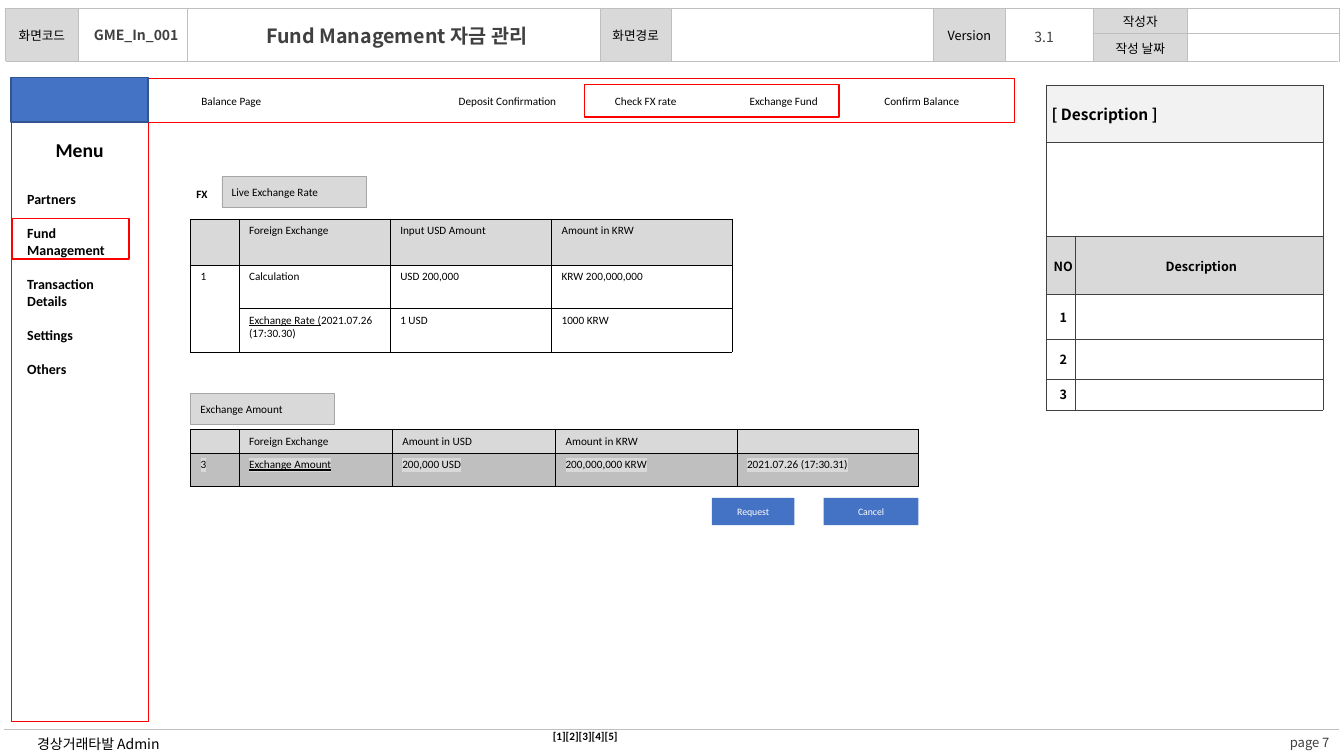
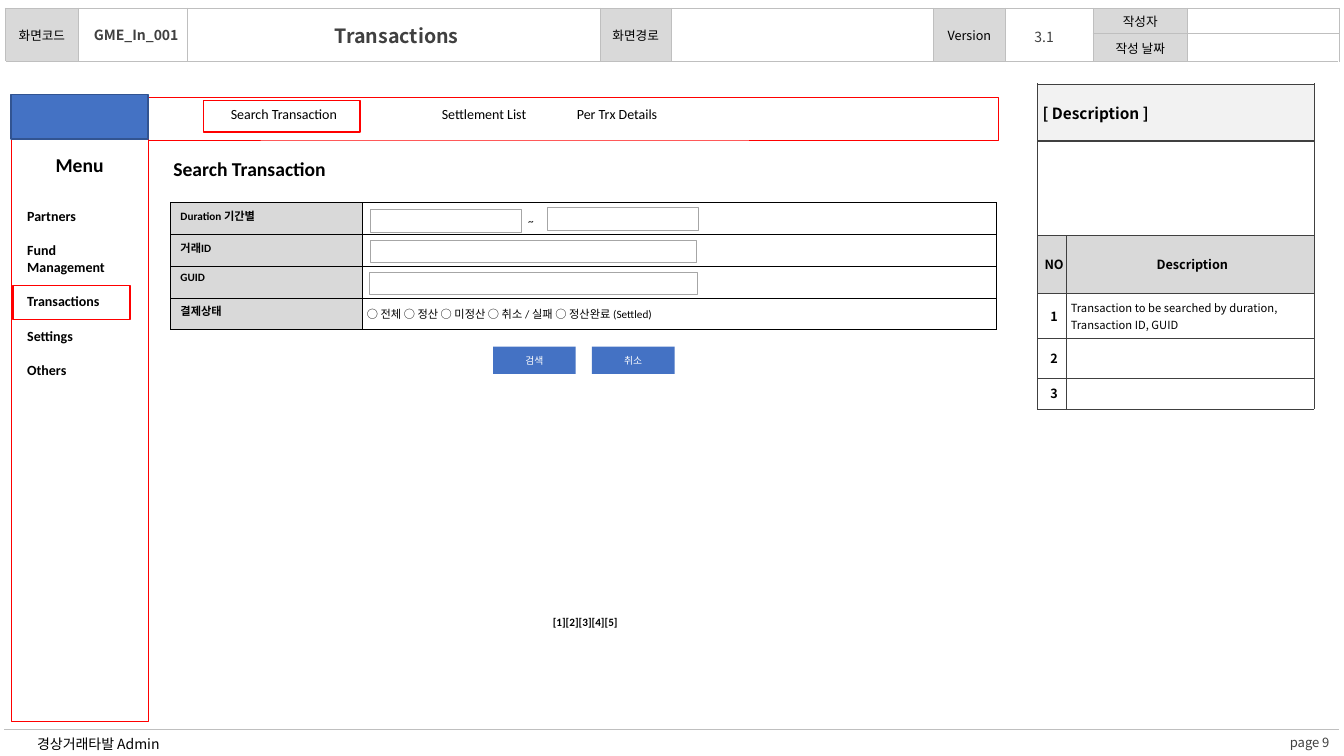
from lxml import etree
from pptx import Presentation
from pptx.dml.color import RGBColor
from pptx.enum.shapes import MSO_SHAPE
from pptx.enum.text import MSO_ANCHOR, PP_ALIGN
from pptx.oxml.ns import qn
from pptx.util import Inches, Pt

LEFT, CENTER = PP_ALIGN.LEFT, PP_ALIGN.CENTER
TOP, MIDDLE = MSO_ANCHOR.TOP, MSO_ANCHOR.MIDDLE
RECTANGLE = MSO_SHAPE.RECTANGLE
BLANK_LAYOUT = 6

LATIN, KOREAN = "Calibri", "Noto Sans CJK KR"
BLACK, WHITE, RED, BLUE, NAVY = "000000", "FFFFFF", "FF0000", "4472C4", "325491"
DARK, MID, GREY, SILVER, PALE = "404040", "A6A6A6", "D9D9D9", "BFBFBF", "F2F2F2"

INSETS = (0.1, 0.05, 0.1, 0.05)
HEADER_INSETS = (0, 0.05, 0.1, 0.05)
HAIRLINE = 0.25
SIDE_LEFT, SIDE_TOP, SIDE_WIDTH, SIDE_HEIGHT = 0.11, 0.96, 1.36, 6.2
BAND_HEIGHT = 0.43
HEADER_COLUMNS = [0.73, 1.08, 4.09, 0.71, 2.6, 0.71, 0.87, 0.94, 1.5]
HEADER_ROWS = [0.25, 0.28, 6.62]


def color(hex_string):
    return RGBColor.from_string(hex_string)


def set_fill(target, hex_string):
    if hex_string:
        target.fill.solid()
        target.fill.fore_color.rgb = color(hex_string)
    else:
        target.fill.background()


def format_run(run, size=8, font=LATIN, ink=BLACK, bold=False,
               underline=False, highlight=None):
    run.font.size = Pt(size)
    run.font.name = font
    run.font.bold = bold
    run.font.underline = underline
    run.font.color.rgb = color(ink)
    properties = run._r.get_or_add_rPr()
    etree.SubElement(properties, qn("a:ea"), typeface=KOREAN)
    if highlight:
        mark = etree.Element(qn("a:highlight"))
        etree.SubElement(mark, qn("a:srgbClr"), val=highlight)
        properties.find(qn("a:solidFill")).addnext(mark)


def write(frame, text, align=LEFT, space_before=0, size=8, **run_format):
    """Write lines of text; a line is a string or a list of (text, changes)."""
    lines = text if isinstance(text, tuple) else (text,)
    for index, line in enumerate(lines):
        paragraph = frame.add_paragraph() if index else frame.paragraphs[0]
        paragraph.alignment = align
        if index:
            paragraph.space_before = Pt(space_before)
        if not line:
            paragraph._p.get_or_add_endParaRPr().set("sz", str(size * 100))
            continue
        for words, changes in [(line, {})] if isinstance(line, str) else line:
            run = paragraph.add_run()
            run.text = words
            format_run(run, **{"size": size, **run_format, **changes})


def set_insets(target, insets):
    (target.margin_left, target.margin_top,
     target.margin_right, target.margin_bottom) = map(Inches, insets)


def add_text(slide, box, text, anchor=TOP, insets=INSETS, wrap=False, **text_format):
    frame = slide.shapes.add_textbox(*map(Inches, box)).text_frame
    frame.word_wrap = wrap
    frame.vertical_anchor = anchor
    set_insets(frame, insets)
    write(frame, text, **text_format)


def add_box(slide, box, fill=None, line=None, weight=HAIRLINE, text="", **text_format):
    shape = slide.shapes.add_shape(RECTANGLE, *map(Inches, box))
    shape.shadow.inherit = False
    set_fill(shape, fill)
    if line:
        shape.line.color.rgb = color(line)
        shape.line.width = Pt(weight)
    else:
        shape.line.fill.background()
    if text:
        shape.text_frame.vertical_anchor = MIDDLE
        write(shape.text_frame, text, **text_format)


def add_button(slide, box, text):
    add_box(slide, box, fill=BLUE, text=text, align=CENTER, size=7, ink=WHITE)


def add_caption(slide, left, top, text):
    add_box(slide, (left, top, 1.43, 0.31), fill=GREY, line=MID, text=text)


def add_field(slide, left, top, width):
    add_box(slide, (left, top, width, 0.22), fill=WHITE, line=MID)


def add_marker(slide, box):
    add_box(slide, box, line=RED, weight=1)


def draw_borders(cell, hex_string, weights):
    """Draw the cell edges named in weights, a dict of side letter to points."""
    properties = cell._tc.get_or_add_tcPr()
    for side, weight in weights.items():
        edge = etree.SubElement(properties, qn(f"a:ln{side}"), w=str(Pt(weight)))
        solid = etree.SubElement(edge, qn("a:solidFill"))
        etree.SubElement(solid, qn("a:srgbClr"), val=hex_string)


def add_grid(slide, left, top, columns, rows, cells, style, border=None,
             heavy_edges=(), merges=(), anchor=TOP, insets=INSETS):
    """Add a table; style(row, column) gives fill, sides and text format."""
    table = slide.shapes.add_table(len(rows), len(columns), *map(
        Inches, (left, top, sum(columns), sum(rows)))).table
    table.first_row = table.horz_banding = False
    for column, width in zip(table.columns, columns):
        column.width = Inches(width)
    for row, height in zip(table.rows, rows):
        row.height = Inches(height)
    for first_row, first_column, last_row, last_column in merges:
        table.cell(first_row, first_column).merge(table.cell(last_row, last_column))
    for row_index, texts in enumerate(cells):
        for column_index, text in enumerate(texts):
            cell = table.cell(row_index, column_index)
            text_format = dict(style(row_index, column_index))
            fill = text_format.pop("fill", None)
            sides = text_format.pop("sides", "LRTB")
            if border:
                edges = {"T": row_index, "B": row_index + 1}
                draw_borders(cell, border, {
                    side: 1 if edges.get(side) in heavy_edges else HAIRLINE
                    for side in sides})
            set_fill(cell, fill)
            set_insets(cell, insets)
            cell.vertical_anchor = anchor
            write(cell.text_frame, text, **text_format)


def add_header(slide, title):
    cells = [["화면코드", "", "", "화면경로", "", "Version", "", "작성자", ""],
             [""] * 7 + ["작성 날짜", ""],
             [""] * 9]

    def style(row, column):
        return {"fill": GREY if cells[row][column] else None,
                "sides": "TB" if row == 2 else "LRTB",
                "align": CENTER, "size": 9, "font": KOREAN}

    merges = [(0, column, 1, column) for column in range(7)] + [(2, 0, 2, 8)]
    add_grid(slide, 0.05, 0.08, HEADER_COLUMNS, HEADER_ROWS, cells, style,
             border=SILVER, merges=merges, anchor=MIDDLE, insets=(0.01, 0.01, 0.01, 0))
    for box, text, size, bold in (((0.78, 0.21, 1.24, 0.27), "GME_In_001", 10, True),
                                  ((1.94, 0.19, 4.09, 0.34), title, 14, True),
                                  ((10.05, 0.23, 0.71, 0.27), "3.1", 10, False)):
        add_text(slide, box, text, insets=HEADER_INSETS, wrap=True, align=CENTER,
                 size=size, bold=bold, font=KOREAN, ink=DARK)


def add_footer(slide, page):
    add_text(slide, (0.27, 7.25, 4, 0.25), "경상거래타발 Admin", anchor=MIDDLE,
             wrap=True, size=10, font=KOREAN)
    add_text(slide, (12.66, 7.23, 0.66, 0.26), f"page {page}", anchor=MIDDLE,
             align=CENTER, size=9.3, font=KOREAN, ink=DARK)


def add_description(slide, left, top, note=""):
    cells = [["[ Description ]", ""], ["", ""], ["NO", "Description"],
             ["1", note], ["2", ""], ["3", ""]]

    def style(row, column):
        is_note = row > 2 and column == 1
        return {"fill": {0: PALE, 1: WHITE, 2: GREY}.get(row),
                "align": LEFT if row == 0 or is_note else CENTER,
                "size": 11 if row == 0 else 8 if is_note else 9,
                "bold": not is_note, "font": KOREAN}

    add_grid(slide, left, top, [0.28, 2.46], [0.57, 0.94, 0.57, 0.45, 0.39, 0.31],
             cells, style, border=DARK, heavy_edges=(1, 2),
             merges=[(0, 0, 0, 1), (1, 0, 1, 1)], anchor=MIDDLE, insets=(0.05, 0, 0, 0))


def add_menu(slide, block_top, title_top, list_top, items):
    add_box(slide, (SIDE_LEFT, SIDE_TOP, SIDE_WIDTH, SIDE_HEIGHT), fill=WHITE, line=RED)
    add_box(slide, (SIDE_LEFT, block_top, SIDE_WIDTH, 0.44), fill=BLUE, line=NAVY, weight=1)
    add_grid(slide, 0.17, list_top, [1.16], [0.27, 2.3], [[""], [items]],
             lambda row, column: {"fill": WHITE, "size": 10, "bold": True,
                                  "space_before": 12.2})
    add_text(slide, (0.42, title_top, 0.74, 0.34), "Menu", align=CENTER, size=14, bold=True)


def add_tabs(slide, left, top, columns, height, names, size):
    add_grid(slide, left, top, columns, [height], [names],
             lambda row, column: {"fill": WHITE, "align": CENTER, "size": size},
             anchor=MIDDLE)


def add_pager(slide, top):
    add_text(slide, (5.33, top, 0.95, 0.24), "[1][2][3][4][5]", align=CENTER, bold=True)


def add_screen(presentation, title, page, band_top, band_width):
    slide = presentation.slides.add_slide(presentation.slide_layouts[BLANK_LAYOUT])
    add_header(slide, title)
    add_footer(slide, page)
    add_box(slide, (SIDE_LEFT, band_top, band_width, BAND_HEIGHT), fill=WHITE, line=RED)
    return slide


def build_fund_management(presentation):
    slide = add_screen(presentation, "Fund Management 자금 관리", 7, 0.78, 9.95)
    add_description(slide, 10.38, 0.84)
    add_menu(slide, 0.77, 1.32, 1.58, ("Partners", "Fund Management",
                                       "Transaction Details", "Settings", "Others"))
    add_marker(slide, (0.12, 2.17, 1.16, 0.4))
    add_tabs(slide, 1.61, 0.86, [1.37] * 6, 0.3,
             ["Balance Page", "", "Deposit Confirmation", "Check FX rate",
              "Exchange Fund", "Confirm Balance"], 8)
    add_marker(slide, (5.8, 0.84, 2.52, 0.32))

    add_text(slide, (1.85, 1.81, 0.34, 0.24), "FX", bold=True)
    add_caption(slide, 2.2, 1.75, "Live Exchange Rate")
    rate = [("Exchange Rate (", {"underline": True}), ("2021.07.26 (17:30.30)", {})]
    add_grid(slide, 1.89, 2.17, [0.48, 1.5, 1.6, 1.79], [0.46, 0.43, 0.43],
             [["", "Foreign Exchange", "Input USD Amount", "Amount in KRW"],
              ["1", "Calculation", "USD 200,000", "KRW 200,000,000"],
              ["", (rate,), "1 USD", "1000 KRW"]],
             lambda row, column: {"fill": WHITE if row else GREY},
             border=BLACK, merges=[(1, 0, 2, 0)])

    add_caption(slide, 1.89, 3.9, "Exchange Amount")
    add_grid(slide, 1.89, 4.26, [0.48, 1.52, 1.62, 1.8, 1.8], [0.23, 0.33],
             [["", "Foreign Exchange", "Amount in USD", "Amount in KRW", ""],
              ["3", "Exchange Amount", "200,000 USD", "200,000,000 KRW",
               "2021.07.26 (17:30.31)"]],
             lambda row, column: {"fill": SILVER if row else GREY,
                                  "highlight": GREY if row else None,
                                  "underline": (row, column) == (1, 1)},
             border=BLACK)
    add_button(slide, (7.06, 4.94, 0.82, 0.27), "Request")
    add_button(slide, (8.17, 4.94, 0.94, 0.27), "Cancel")
    add_pager(slide, 7.19)


def build_transactions(presentation):
    slide = add_screen(presentation, "Transactions", 9, 0.96, 9.79)
    add_description(slide, 10.29, 0.83,
                    "Transaction to be searched by duration, Transaction ID, GUID")
    add_tabs(slide, 1.49, 0.98, [2.65] + [1.32] * 4, 0.32,
             ["Search Transaction", "Settlement List", "Per Trx Details", "", ""], 10)
    add_menu(slide, 0.94, 1.47, 1.75, ("Partners", "Fund Management", "Transactions",
                                       "Settings", "Others"))
    add_marker(slide, (0.13, 2.83, 1.16, 0.34))
    add_marker(slide, (2.02, 1, 1.55, 0.31))

    add_text(slide, (1.62, 1.51, 1.95, 0.34), "Search Transaction", size=14, bold=True)
    labels = ["Duration 기간별", "거래ID", "GUID", "결제상태"]
    add_grid(slide, 1.69, 2.01, [1.9, 6.29], [0.315] * len(labels),
             [[label, ""] for label in labels],
             lambda row, column: {"fill": WHITE if column else GREY, "bold": True},
             border=BLACK)
    for left, top, width in ((3.67, 2.08, 1.5), (5.43, 2.06, 1.5),
                             (3.67, 2.38, 3.24), (3.66, 2.7, 3.26)):
        add_field(slide, left, top, width)
    add_text(slide, (5.14, 2.08, 0.28, 0.24), "~")
    add_text(slide, (3.54, 3, 3.44, 0.24),
             "○ 전체 ○ 정산 ○ 미정산 ○ 취소 / 실패 ○ 정산완료 (Settled)")
    add_button(slide, (4.89, 3.44, 0.82, 0.27), "검색")
    add_button(slide, (5.87, 3.44, 0.82, 0.27), "취소")
    add_pager(slide, 6.06)


def main():
    presentation = Presentation()
    presentation.slide_width = Inches(13.33)
    presentation.slide_height = Inches(7.5)
    build_fund_management(presentation)
    build_transactions(presentation)
    presentation.save("out.pptx")


if __name__ == "__main__":
    main()
